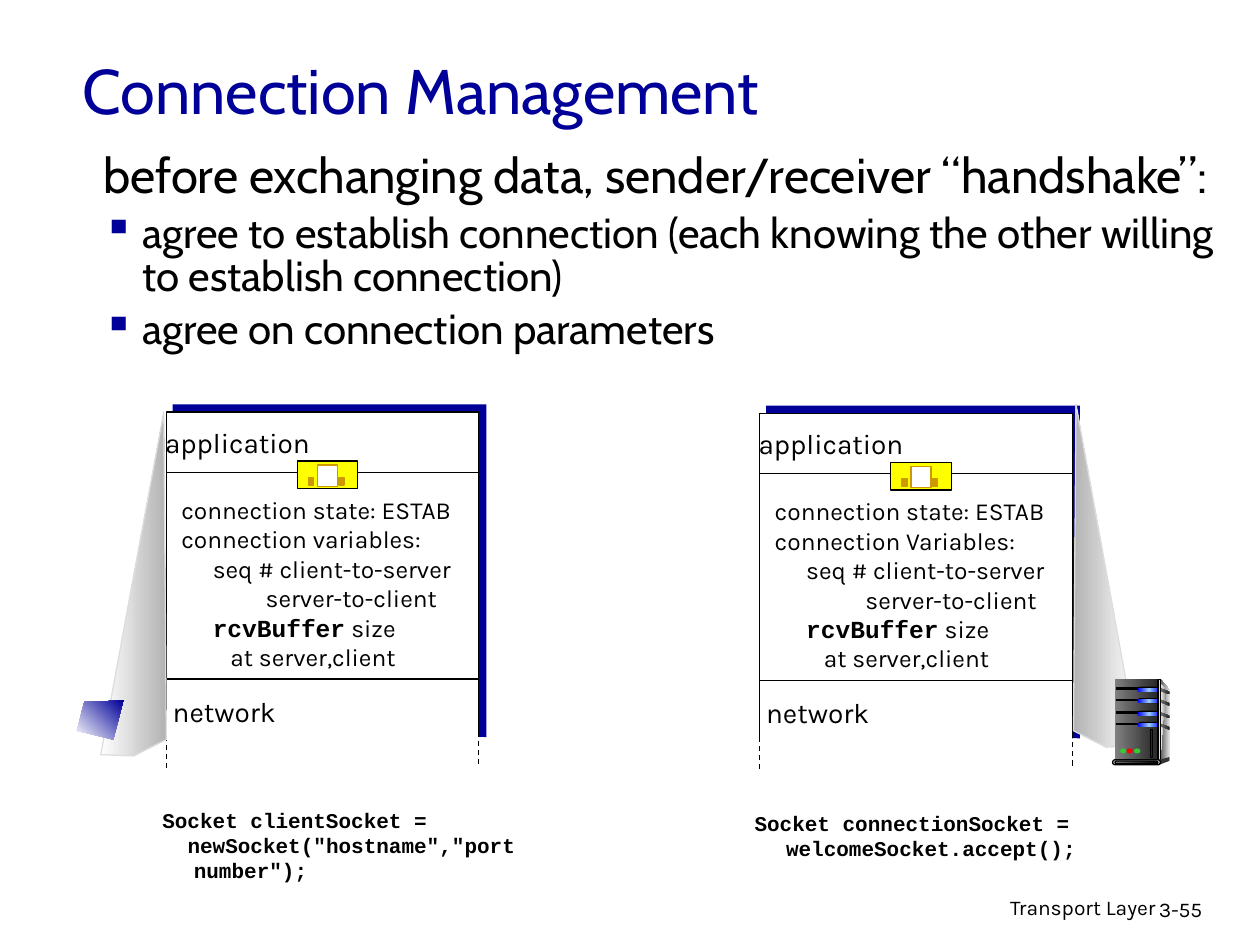
from copy import deepcopy

from lxml import etree
from pptx import Presentation
from pptx.dml.color import RGBColor
from pptx.enum.dml import MSO_LINE
from pptx.enum.shapes import MSO_CONNECTOR, MSO_SHAPE
from pptx.enum.text import MSO_ANCHOR, PP_ALIGN
from pptx.oxml.ns import qn
from pptx.util import Inches, Pt

RECTANGLE = MSO_SHAPE.RECTANGLE
ROUNDED = MSO_SHAPE.ROUNDED_RECTANGLE
OVAL = MSO_SHAPE.OVAL
STRAIGHT = MSO_CONNECTOR.STRAIGHT
DASH = MSO_LINE.DASH
MIDDLE = MSO_ANCHOR.MIDDLE
CENTER, RIGHT = PP_ALIGN.CENTER, PP_ALIGN.RIGHT

TITLE_FONT, LABEL_FONT, CODE_FONT = "Cabin", "Karla", "Courier New"
BLACK, WHITE, NAVY, GOLD = "000000", "FFFFFF", "000099", "CC9900"
METAL = ("808080", "292929")


def color(value):
    return RGBColor.from_string(value)


def paint(shape, fill, line=None, angle=0):
    """Fill with one colour, or with a gradient when given several."""
    shape.shadow.inherit = False
    if isinstance(fill, str):
        shape.fill.solid()
        shape.fill.fore_color.rgb = color(fill)
    else:
        shape.fill.gradient()
        shape.fill.gradient_angle = angle
        stop_list = shape.fill._fill._gradFill.find(qn("a:gsLst"))
        for _ in fill[2:]:
            stop_list.append(deepcopy(stop_list[-1]))
        for index, stop in enumerate(shape.fill.gradient_stops):
            stop.color.rgb = color(fill[index])
            stop.position = index / (len(fill) - 1)
    if line:
        shape.line.color.rgb = color(line)
        shape.line.width = Pt(0.75)
    else:
        shape.line.fill.background()


def add_block(slide, kind, left, top, width, height, fill, line=None):
    shape = slide.shapes.add_shape(
        kind, Inches(left), Inches(top), Inches(width), Inches(height))
    if kind == ROUNDED:
        shape.adjustments[0] = 0.5
    paint(shape, fill, line)


def add_polygon(slide, points, fill, line=None, angle=0):
    corners = [(Inches(x), Inches(y)) for x, y in points]
    builder = slide.shapes.build_freeform(*corners[0])
    builder.add_line_segments(corners[1:], close=True)
    paint(builder.convert_to_shape(), fill, line, angle)


def add_line(slide, start_x, start_y, end_x, end_y, dash=None):
    line = slide.shapes.add_connector(
        STRAIGHT, Inches(start_x), Inches(start_y), Inches(end_x), Inches(end_y))
    line.line.color.rgb = color(BLACK)
    line.line.width = Pt(0.75)
    if dash:
        line.line.dash_style = dash
    etree.SubElement(line._element.spPr, qn("a:effectLst"))


def format_run(run, size, font, fill=BLACK, bold=False):
    run.font.size = Pt(size)
    run.font.name = font
    run.font.bold = bold
    run.font.color.rgb = color(fill)


def set_indent(paragraph, margin, first_line=0):
    properties = paragraph._p.get_or_add_pPr()
    properties.set("marL", str(Inches(margin)))
    properties.set("indent", str(Inches(first_line)))
    return properties


def add_text(slide, left, top, width, height, text, size, font,
             fill=BLACK, bold=False, align=None, wrap=True):
    box = slide.shapes.add_textbox(
        Inches(left), Inches(top), Inches(width), Inches(height))
    frame = box.text_frame
    frame.word_wrap = wrap
    frame.text = text
    for paragraph in frame.paragraphs:
        paragraph.alignment = align
        for run in paragraph.runs:
            format_run(run, size, font, fill, bold)
    return frame


def add_body(slide):
    frame = add_text(
        slide, 0.72, 1.17, 9.12, 2.39,
        "before exchanging data, sender/receiver “handshake”:\n"
        "agree to establish connection (each knowing the other willing "
        "to establish connection)\n"
        "agree on connection parameters", 24, TITLE_FONT)
    frame.paragraphs[0].runs[0].font.size = Pt(28)
    for index, paragraph in enumerate(frame.paragraphs):
        properties = set_indent(paragraph, 0.31, -0.31)
        paragraph.line_spacing = 0.85
        if index:
            paragraph.space_before = Pt(6)
            bullet_color = etree.SubElement(properties, qn("a:buClr"))
            etree.SubElement(bullet_color, qn("a:srgbClr"), val=NAVY)
            etree.SubElement(properties, qn("a:buChar"), char="▪")


def add_state(slide, left, top, variables, direction_indent):
    lines = [("connection state: ESTAB", 0), (variables, 0),
             ("seq # client-to-server", 0.25),
             ("server-to-client", direction_indent),
             ("rcvBuffer", 0.25), ("at server,client", 0.39)]
    frame = add_text(slide, left, top, 2.55, 1.5,
                     "\n".join(text for text, _ in lines), 14, LABEL_FONT)
    for paragraph, (text, indent) in zip(frame.paragraphs, lines):
        set_indent(paragraph, indent)
        if text == "rcvBuffer":
            format_run(paragraph.runs[0], 14, CODE_FONT, bold=True)
            size_run = paragraph.add_run()
            size_run.text = " size"
            format_run(size_run, 14, LABEL_FONT)


def add_socket(slide, left, top):
    add_block(slide, RECTANGLE, left, top, 0.48, 0.22, "FFFF00", BLACK)
    add_block(slide, RECTANGLE, left + 0.16, top + 0.03, 0.16, 0.17, WHITE, GOLD)
    for offset in (0.09, 0.33):
        add_block(slide, RECTANGLE, left + offset, top + 0.13, 0.04, 0.06, GOLD, GOLD)


def add_stack(slide, left, top, variables, direction_indent):
    """Protocol stack with an open lower end."""
    right = left + 2.48
    add_block(slide, RECTANGLE, left + 0.05, top - 0.06, 2.49, 2.64, NAVY)
    add_block(slide, RECTANGLE, left, top, 2.48, 2.7, WHITE, BLACK)
    for offset in (0.48, 2.12):
        add_line(slide, left, top + offset, right, top + offset)
    add_state(slide, left + 0.02, top + 0.61, variables, direction_indent)
    add_socket(slide, left + 1.04, top + 0.39)
    for label, x, y, width in (("application", -0.11, 0.06, 1.35),
                               ("network", -0.07, 2.19, 1.06)):
        add_text(slide, left + x, top + y, width, 0.37, label, 16,
                 LABEL_FONT, align=CENTER, wrap=False)
    add_block(slide, RECTANGLE, left - 0.03, top + 2.58, 2.55, 0.2, WHITE)
    add_line(slide, left, top + 2.57, left, top + 2.83, DASH)
    add_line(slide, right, top + 2.54, right, top + 2.8, DASH)


def add_server(slide):
    # Cabinet side and front
    add_polygon(slide, [(9.21, 5.39), (9.28, 5.47), (9.28, 6.01), (9.19, 6.04)],
                ("333333", "DDDDDD"))
    add_block(slide, RECTANGLE, 8.85, 5.39, 0.33, 0.65, METAL)
    add_polygon(slide, [(9.21, 5.43), (9.26, 5.48), (9.23, 5.72), (9.21, 6.02)],
                ("F8F8F8", "808080"))
    # Drive bays
    for top in (5.46, 5.55, 5.65, 5.74):
        add_block(slide, RECTANGLE, 8.86, top, 0.19, 0.01, BLACK, BLACK)
        add_block(slide, ROUNDED, 9.03, top - 0.01, 0.18, 0.04, BLACK)
        add_block(slide, ROUNDED, 9.03, top, 0.18, 0.03, ("0000FF", "99CCFF", "0000FF"))
        add_polygon(slide, [(9.2, top), (9.28, top + 0.03),
                            (9.28, top + 0.05), (9.2, top + 0.02)], METAL)
    add_block(slide, RECTANGLE, 9.19, 5.39, 0.02, 0.65,
              ("333333", "DDDDDD", "333333"), BLACK)
    # Foot
    add_block(slide, OVAL, 9.27, 6.01, 0.01, 0.03, "333333")
    add_polygon(slide, [(9.2, 6.03), (9.2, 6.07), (9.28, 6.04), (9.28, 6.01)], "333333")
    add_block(slide, ROUNDED, 8.83, 6.03, 0.38, 0.04, "DDDDDD", BLACK)
    add_block(slide, ROUNDED, 8.85, 6.04, 0.34, 0.02, ("808080", BLACK), BLACK)
    # Lamps and vent
    for left, lamp in ((8.89, "33CC33"), (8.94, "FF0000"), (9, "33CC33")):
        add_block(slide, OVAL, left, 5.94, 0.05, 0.04, lamp)
    add_block(slide, RECTANGLE, 9.13, 5.79, 0.02, 0.22, "292929", BLACK)


def main():
    presentation = Presentation()
    presentation.slide_width, presentation.slide_height = Inches(10), Inches(7.5)
    slide = presentation.slides.add_slide(presentation.slide_layouts[6])

    # Footer, title and body
    add_text(slide, 6.1, 7.05, 3.17, 0.31, "Transport Layer", 12, LABEL_FONT, align=RIGHT)
    add_text(slide, 9.1, 7.07, 0.74, 0.3, "3-55", 12, LABEL_FONT)
    title = add_text(slide, 0.56, 0.21, 8.5, 1, "Connection Management", 36,
                     TITLE_FONT, NAVY)
    title.vertical_anchor = MIDDLE
    add_body(slide)

    # Client and server stacks with their projections
    add_stack(slide, 1.32, 3.27, "connection variables:", 0.67)
    add_polygon(slide, [(0.8, 5.99), (1.3, 3.27), (1.32, 5.87), (1.06, 6)],
                (WHITE, "B2B2B2"), "DDDDDD")
    add_stack(slide, 6.03, 3.28, "connection Variables:", 0.72)
    add_polygon(slide, [(9.03, 5.92), (8.54, 3.21), (8.52, 5.8), (8.78, 5.93)],
                (WHITE, "B2B2B2"), "DDDDDD", angle=180)

    # Socket calls
    client_call = add_text(slide, 1.19, 6.36, 3.16, 0.7,
                           'Socket clientSocket =\nnewSocket("hostname","port number");',
                           12, CODE_FONT, bold=True)
    server_call = add_text(slide, 5.89, 6.38, 3.16, 0.5,
                           "Socket connectionSocket = welcomeSocket.accept();",
                           12, CODE_FONT, bold=True)
    for paragraph in (client_call.paragraphs[0], server_call.paragraphs[0]):
        set_indent(paragraph, 0.25, -0.25)
    set_indent(client_call.paragraphs[1], 0.25, -0.05)

    # Client screen and server cabinet
    add_polygon(slide, [(0.98, 5.56), (0.67, 5.57), (0.61, 5.8), (0.9, 5.87)],
                (WHITE, NAVY), angle=45)
    add_server(slide)
    presentation.save("out.pptx")


if __name__ == "__main__":
    main()
